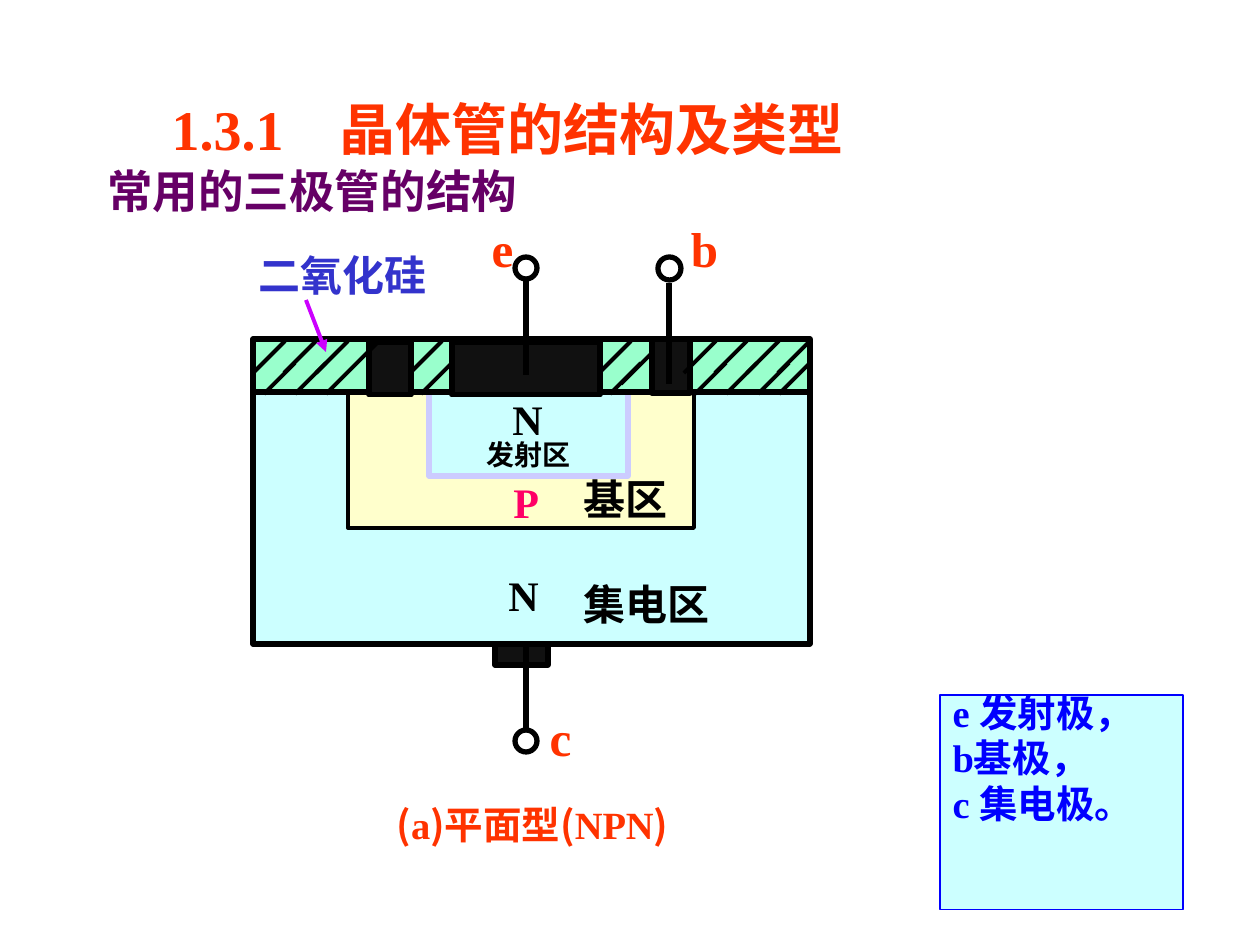
from lxml.etree import SubElement
from pptx import Presentation
from pptx.dml.color import RGBColor
from pptx.enum.shapes import MSO_CONNECTOR, MSO_SHAPE
from pptx.enum.text import MSO_ANCHOR, MSO_AUTO_SIZE, PP_ALIGN
from pptx.oxml.ns import qn
from pptx.util import Emu, Pt

SCALE = 914400 / 126
SERIF = "Times New Roman"
CJK = "Noto Sans CJK SC"
BLACK = "000000"
METAL = "111111"
RED = "FF3300"
CYAN = "CCFFFF"


def px(*lengths):
    """Turn pixel lengths into EMU."""
    return [Emu(round(length * SCALE)) for length in lengths]


def color(code):
    """Give the colour for a hex string."""
    return RGBColor.from_string(code)


def place(item, box):
    """Move and size a shape to a pixel box."""
    item.left, item.top, item.width, item.height = px(*box)


def paint(item, fill, outline, weight):
    """Set solid fill and outline."""
    item.fill.solid()
    item.fill.fore_color.rgb = color(fill)
    item.line.color.rgb = color(outline)
    item.line.width = Pt(weight)


def add_region(slide, box, fill, outline=BLACK, weight=3, kind=MSO_SHAPE.RECTANGLE):
    """Add a filled, outlined part of the device."""
    region = slide.shapes.add_shape(kind, *px(*box))
    region.shadow.inherit = False
    paint(region, fill, outline, weight)


def add_line(slide, start, end, weight=3, stroke=BLACK):
    """Add a straight line without shadow."""
    line = slide.shapes.add_connector(MSO_CONNECTOR.STRAIGHT, *px(*start, *end))
    line.line.color.rgb = color(stroke)
    line.line.width = Pt(weight)
    SubElement(line._element.spPr, qn("a:effectLst"))
    return line


def add_arrow(slide, start, end, weight, stroke):
    """Add a line with a triangle head at its end."""
    arrow = add_line(slide, start, end, weight, stroke)
    SubElement(arrow.line._get_or_add_ln(), qn("a:tailEnd"), type="triangle")


def add_hatch(slide, x, y, length):
    """Add one 45 degree oxide hatch line going down to the left."""
    add_line(slide, (x, y), (x - length, y + length), 2.25)


def add_run(paragraph, text, size, ink, font=SERIF):
    """Add one bold run."""
    run = paragraph.add_run()
    run.text = text
    run.font.size = Pt(size)
    run.font.name = font
    run.font.bold = True
    run.font.color.rgb = color(ink)


def fit_frame(frame, anchor=MSO_ANCHOR.TOP, wrap=True):
    """Let a text frame grow with its text."""
    frame.word_wrap = wrap
    frame.auto_size = MSO_AUTO_SIZE.SHAPE_TO_FIT_TEXT
    frame.vertical_anchor = anchor


def add_text(slide, box, runs, size, ink, align=PP_ALIGN.LEFT):
    """Add a wrapping text box made of (text, font) runs."""
    frame = slide.shapes.add_textbox(*px(*box)).text_frame
    fit_frame(frame)
    frame.paragraphs[0].alignment = align
    for text, font in runs:
        add_run(frame.paragraphs[0], text, size, ink, font)


def add_label(slide, box, text, size, ink):
    """Add a centred label that does not wrap."""
    frame = slide.shapes.add_textbox(*px(*box)).text_frame
    fit_frame(frame, MSO_ANCHOR.MIDDLE, False)
    frame.paragraphs[0].alignment = PP_ALIGN.CENTER
    add_run(frame.paragraphs[0], text, size, ink)


def fill_title(title):
    """Write the section title in its placeholder."""
    place(title, (159, 88, 746, 79))
    fit_frame(title.text_frame)
    heading = title.text_frame.paragraphs[0]
    heading.alignment = PP_ALIGN.LEFT
    add_run(heading, "1.3.1　晶体管的结构及类型", 32, RED)


def fill_legend(legend):
    """Write the electrode list in the body placeholder."""
    place(legend, (940, 695, 243, 157))
    paint(legend, CYAN, "0000FF", 0.75)
    frame = legend.text_frame
    fit_frame(frame)
    for index, entry in enumerate(("e 发射极，", "b基极，", "c 集电极。")):
        paragraph = frame.add_paragraph() if index else frame.paragraphs[0]
        paragraph.line_spacing = 0.7
        paragraph.space_before = Pt(7.5)
        properties = paragraph._p.get_or_add_pPr()
        properties.set("marL", "0")
        properties.set("indent", "0")
        SubElement(properties, qn("a:buNone"))
        add_run(paragraph, entry, 22, "0000FF")


def draw_device(slide):
    """Draw the semiconductor body, oxide, contacts and leads."""
    add_region(slide, (253, 392, 557, 252), CYAN)
    add_region(slide, (348, 392, 346, 136), "FFFFCC", weight=2.25)
    add_region(slide, (429, 392, 199, 84), CYAN, "CCCCFF")
    add_region(slide, (253, 339, 557, 53), "99FFCC")
    for contact in ((495, 644, 53, 21), (369, 342, 42, 53),
                    (452, 342, 148, 53), (652, 339, 38, 54)):
        add_region(slide, contact, METAL)
    for x, start, end in ((526, 644, 738), (526, 375, 281), (669, 384, 283)):
        add_line(slide, (x, start), (x, end))
    for terminal in ((515, 730, 22, 22), (515, 257, 22, 22), (658, 257, 23, 23)):
        add_region(slide, terminal, "FFFFFF", kind=MSO_SHAPE.OVAL)
    for x in (285, 316, 348, 442, 631, 716, 747, 779, 810):
        add_hatch(slide, x, 341, 32)
    for x in (295, 326, 452, 641, 726, 757, 789, 810):
        add_hatch(slide, x, 363, 31)
    add_hatch(slide, 379, 341, 53)
    add_hatch(slide, 653, 352, 32)
    add_arrow(slide, (306, 300), (326, 352), 2.25, "CC00FF")


def label_device(slide):
    """Name the electrodes, dopings and regions."""
    for text, box in (("e", (479, 212, 47, 72)), ("b", (678, 212, 53, 72)),
                      ("c", (537, 701, 47, 72))):
        add_label(slide, box, text, 28, RED)
    for text, box, ink in (("N", (496, 563, 55, 63), BLACK),
                           ("N", (500, 387, 55, 63), BLACK),
                           ("P", (501, 470, 50, 63), "FF0066"),
                           ("二氧化硅", (246, 243, 194, 63), "3333CC")):
        add_label(slide, box, text, 24, ink)
    for text, box, size in (("发射区", (474, 431, 199, 47), 16),
                            ("集电区", (571, 572, 189, 63), 24),
                            ("基区", (571, 467, 126, 63), 24)):
        add_text(slide, box, [(text, SERIF)], size, BLACK)


def main():
    """Build the transistor structure slide."""
    deck = Presentation()
    deck.slide_width, deck.slide_height = px(1260, 945)
    slide = deck.slides.add_slide(deck.slide_layouts[1])
    fill_title(slide.shapes.title)
    fill_legend(slide.placeholders[1])
    add_text(slide, (95, 157, 1113, 67), [("常用的三极管的结构", SERIF)],
             26, "660066", PP_ALIGN.JUSTIFY)
    caption = [("(", CJK), ("a", SERIF), (")平面型(", CJK), ("NPN", SERIF), (")", CJK)]
    add_text(slide, (333, 795, 399, 59), caption, 22, RED, PP_ALIGN.CENTER)
    draw_device(slide)
    label_device(slide)
    deck.save("out.pptx")


if __name__ == "__main__":
    main()
